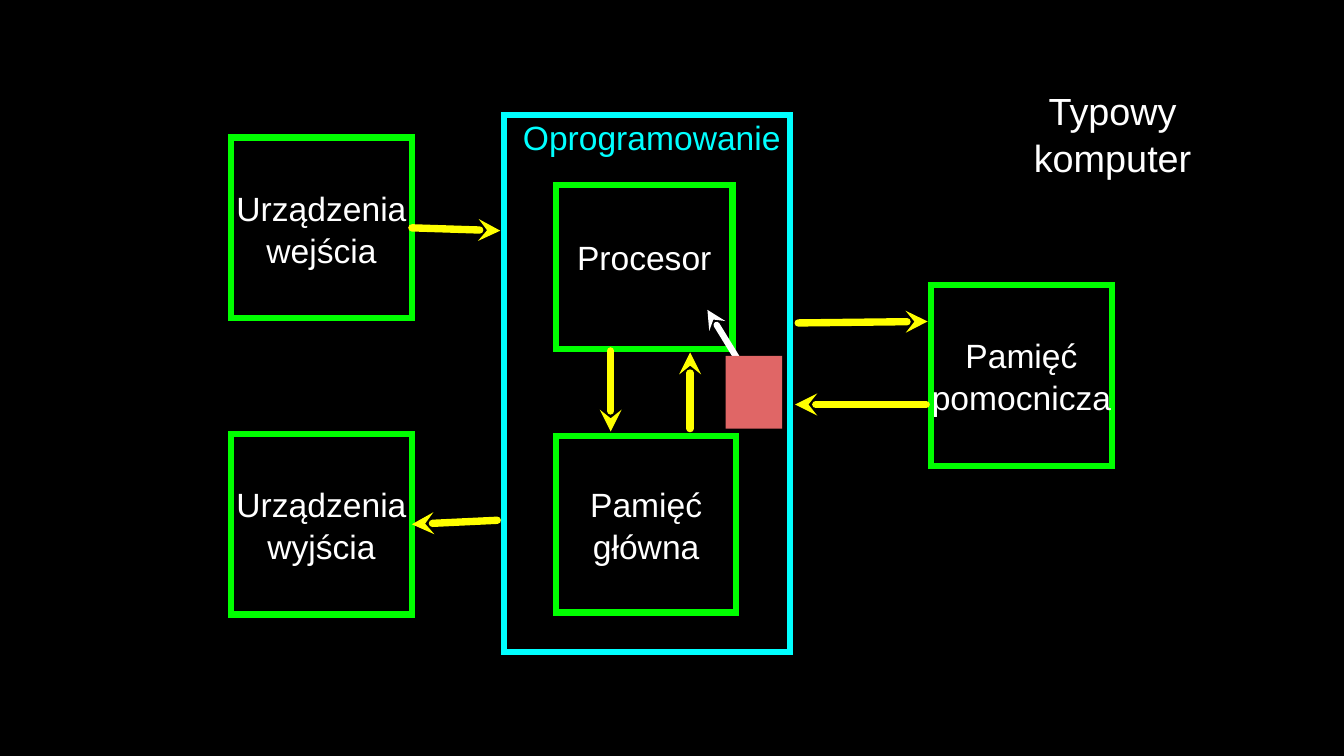
from lxml.etree import SubElement
from pptx import Presentation
from pptx.dml.color import RGBColor
from pptx.enum.shapes import MSO_CONNECTOR as CONN, MSO_SHAPE as SHAPE
from pptx.enum.text import MSO_ANCHOR as ANCHOR, MSO_AUTO_SIZE as FIT, PP_ALIGN as ALIGN
from pptx.oxml.ns import qn
from pptx.util import Cm, Pt

BLACK, WHITE, RED = "000000", "FFFFFF", "E06666"
GREEN, CYAN, YELLOW = "00FF00", "00FFFF", "FFFF00"
SIDE = 6.07


def paint(target, color):
    if hasattr(target, "solid"):
        target.solid()
        target = target.fore_color
    target.rgb = RGBColor.from_string(color)


def write(s, lines, size=32, color=WHITE, align=ALIGN.CENTER, anchor=ANCHOR.MIDDLE):
    tf = s.text_frame
    tf.word_wrap = True
    tf.auto_size = FIT.NONE
    tf.vertical_anchor = anchor
    tf.margin_left = tf.margin_top = tf.margin_right = tf.margin_bottom = 0
    tf.text = "\n".join(lines)
    for p in tf.paragraphs:
        p.alignment = align
        p.line_spacing = 1.04
        p.space_before = Pt(0)
        p.font.name = "Arial"
        p.font.size = Pt(size)
        paint(p.font.color, color)
    return tf


def add_rect(slide, x, y, w, h):
    s = slide.shapes.add_shape(SHAPE.RECTANGLE, Cm(x), Cm(y), Cm(w), Cm(h))
    s.shadow.inherit = False
    return s


def add_frame(slide, x, y, w, h, color=GREEN):
    s = add_rect(slide, x, y, w, h)
    s.fill.background()
    s.line.width = Pt(6)
    paint(s.line.fill, color)
    SubElement(s.line._get_or_add_ln(), qn("a:miter"), lim="800000")
    return s


def add_arrow(slide, x1, y1, x2, y2, color=YELLOW, width=7):
    s = slide.shapes.add_connector(CONN.STRAIGHT, Cm(x1), Cm(y1), Cm(x2), Cm(y2))
    s.line.width = Pt(width)
    paint(s.line.fill, color)
    ln = s.line._get_or_add_ln()
    ln.set("cap", "rnd")
    SubElement(ln, qn("a:round"))
    SubElement(ln, qn("a:tailEnd"), type="stealth")
    SubElement(s._element.spPr, qn("a:effectLst"))
    return s


def add_title(slide, lines):
    s = slide.shapes.title
    s.left, s.top, s.width, s.height = Cm(34.54), Cm(2.87), Cm(5.69), Cm(3.18)
    write(s, lines, size=36)


def main():
    prs = Presentation()
    prs.slide_width, prs.slide_height = Cm(45.16), Cm(25.4)
    slide = prs.slides.add_slide(prs.slide_layouts[5])
    paint(slide.background.fill, BLACK)
    add_title(slide, ["Typowy", "komputer"])

    software = add_frame(slide, 16.94, 3.87, 9.6, 18.03, CYAN)
    tf = write(software, ["Oprogramowanie"], color=CYAN, align=ALIGN.LEFT, anchor=ANCHOR.TOP)
    tf.margin_left = Cm(0.63)

    inputs = add_frame(slide, 7.77, 4.62, SIDE, SIDE)
    write(inputs, ["Urządzenia", "wejścia"])
    processor = add_frame(slide, 18.69, 6.22, 5.92, 5.51)
    write(processor, ["Procesor"]).margin_bottom = Cm(0.73)
    main_memory = add_frame(slide, 18.69, 14.66, 6.05, 5.92)
    write(main_memory, ["Pamięć", "główna"])
    outputs = add_frame(slide, 7.77, 14.58, SIDE, SIDE)
    write(outputs, ["Urządzenia", "wyjścia"])
    storage = add_frame(slide, 31.29, 9.58, SIDE, SIDE)
    write(storage, ["Pamięć", "pomocnicza"])

    add_arrow(slide, 13.87, 7.8, 16.81, 7.75).begin_connect(inputs, 3)
    add_arrow(slide, 16.71, 17.48, 13.94, 17.53).end_connect(outputs, 3)
    for ends in [
        (20.52, 11.79, 20.52, 14.5),
        (23.19, 14.4, 23.19, 11.84),
        (26.82, 10.85, 31.17, 10.8),
        (31.12, 13.59, 26.72, 13.59),
    ]:
        add_arrow(slide, *ends)

    add_arrow(slide, 24.97, 12.37, 23.77, 10.41, WHITE, 6)
    marker = add_rect(slide, 24.38, 11.96, 1.9, 2.44)
    paint(marker.fill, RED)
    marker.line.fill.background()

    prs.save("out.pptx")


if __name__ == "__main__":
    main()
